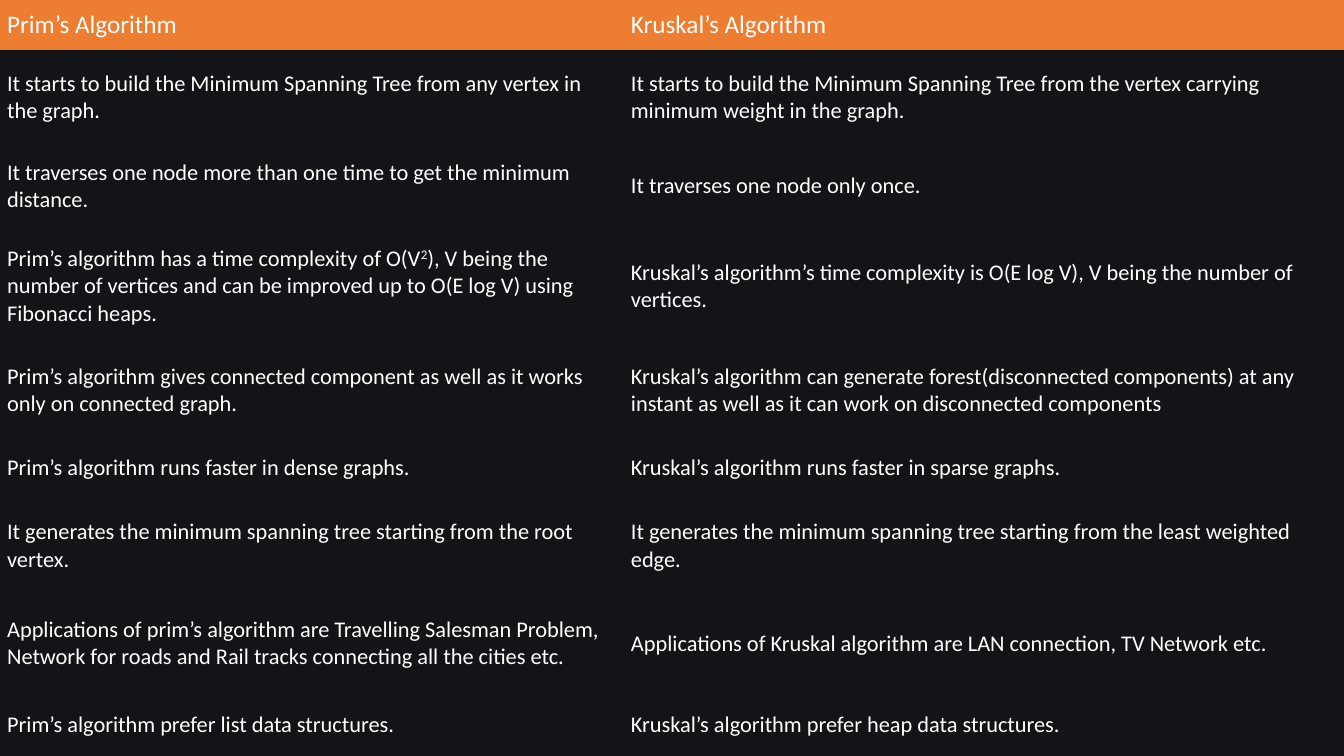
from pptx import Presentation
from pptx.dml.color import RGBColor
from pptx.enum.text import MSO_ANCHOR as Anchor
from pptx.oxml.ns import qn
from pptx.util import Cm, Pt

FONT = "Calibri"
WHITE, ORANGE, NEAR_BLACK = "FFFFFF", "ED7D31", "131417"
NO_STYLE_NO_GRID = "{2D5ABB26-0587-4C30-8999-92F81FD0307C}"
SLIDE_WIDTH, SLIDE_HEIGHT = 33.87, 19.05
COLUMN_WIDTHS = [15.72, 18.15]
ROW_HEIGHTS = [1.27, 2.36, 2.13, 2.9, 2.36, 1.55, 2.36, 2.57, 1.55]

COMPARISON = [
    ("Prim’s Algorithm", "Kruskal’s Algorithm"),
    ("It starts to build the Minimum Spanning Tree from any vertex in the graph.",
     "It starts to build the Minimum Spanning Tree from the vertex carrying minimum weight in the graph."),
    ("It traverses one node more than one time to get the minimum distance.",
     "It traverses one node only once."),
    (("Prim’s algorithm has a time complexity of O(V", "2",
      "), V being the number of vertices and can be improved up to O(E log V) using Fibonacci heaps."),
     "Kruskal’s algorithm’s time complexity is O(E log V), V being the number of vertices."),
    ("Prim’s algorithm gives connected component as well as it works only on connected graph.",
     "Kruskal’s algorithm can generate forest(disconnected components) at any instant "
     "as well as it can work on disconnected components"),
    ("Prim’s algorithm runs faster in dense graphs.",
     "Kruskal’s algorithm runs faster in sparse graphs."),
    ("It generates the minimum spanning tree starting from the root vertex.",
     "It generates the minimum spanning tree starting from the least weighted edge."),
    ("Applications of prim’s algorithm are Travelling Salesman Problem, "
     "Network for roads and Rail tracks connecting all the cities etc.",
     "Applications of Kruskal algorithm are LAN connection, TV Network etc."),
    ("Prim’s algorithm prefer list data structures.",
     "Kruskal’s algorithm prefer heap data structures."),
]


def color(hex_string):
    return RGBColor.from_string(hex_string)


def fill_cell(cell, content, size, background, vertical_margin):
    cell.fill.solid()
    cell.fill.fore_color.rgb = color(background)
    cell.vertical_anchor = Anchor.MIDDLE
    cell.margin_left = cell.margin_right = Cm(0.18)
    cell.margin_top = cell.margin_bottom = Cm(vertical_margin)
    paragraph = cell.text_frame.paragraphs[0]
    pieces = (content,) if isinstance(content, str) else content
    for position, text in enumerate(pieces):
        run = paragraph.add_run()
        run.text = text
        run.font.name = FONT
        run.font.size = Pt(size)
        run.font.bold = False
        run.font.color.rgb = color(WHITE)
        if position % 2:
            run.font._element.set("baseline", "30000")


def add_comparison_table(slide, left, top, width, height):
    frame = slide.shapes.add_table(
        len(COMPARISON), len(COLUMN_WIDTHS), Cm(left), Cm(top), Cm(width), Cm(height))
    table = frame.table
    table.horz_banding = False
    next(frame._element.iter(qn("a:tableStyleId"))).text = NO_STYLE_NO_GRID
    for column, share in zip(table.columns, COLUMN_WIDTHS):
        column.width = Cm(width * share / sum(COLUMN_WIDTHS))
    for row, share in zip(table.rows, ROW_HEIGHTS):
        row.height = Cm(height * share / sum(ROW_HEIGHTS))
    for row_index, contents in enumerate(COMPARISON):
        look = (16, NEAR_BLACK, 0.25) if row_index else (18, ORANGE, 0.18)
        for column_index, content in enumerate(contents):
            fill_cell(table.cell(row_index, column_index), content, *look)


def main():
    presentation = Presentation()
    presentation.slide_width = Cm(SLIDE_WIDTH)
    presentation.slide_height = Cm(SLIDE_HEIGHT)
    slide = presentation.slides.add_slide(presentation.slide_layouts[6])
    add_comparison_table(slide, 0, 0, SLIDE_WIDTH, SLIDE_HEIGHT)
    presentation.save("out.pptx")


if __name__ == "__main__":
    main()
